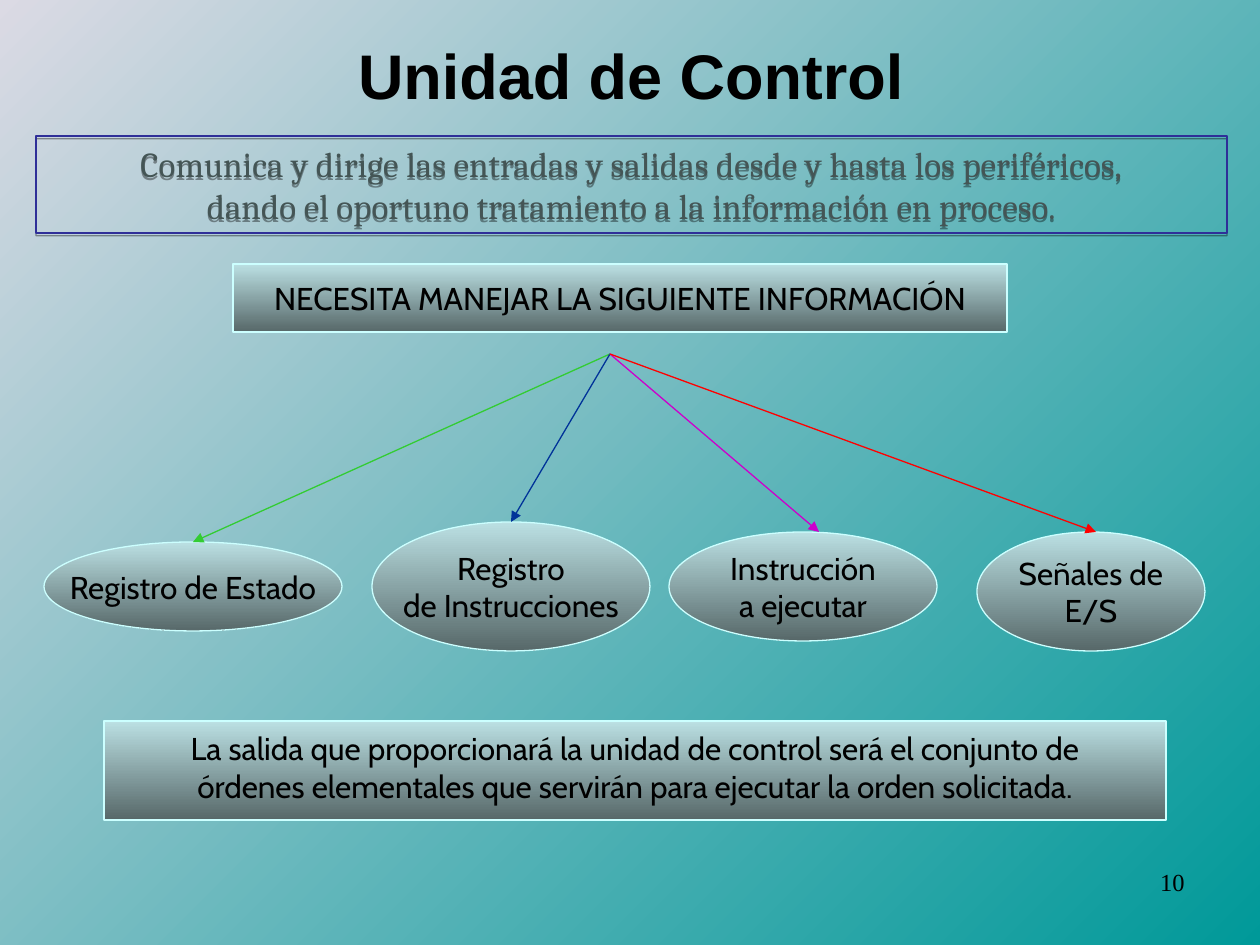
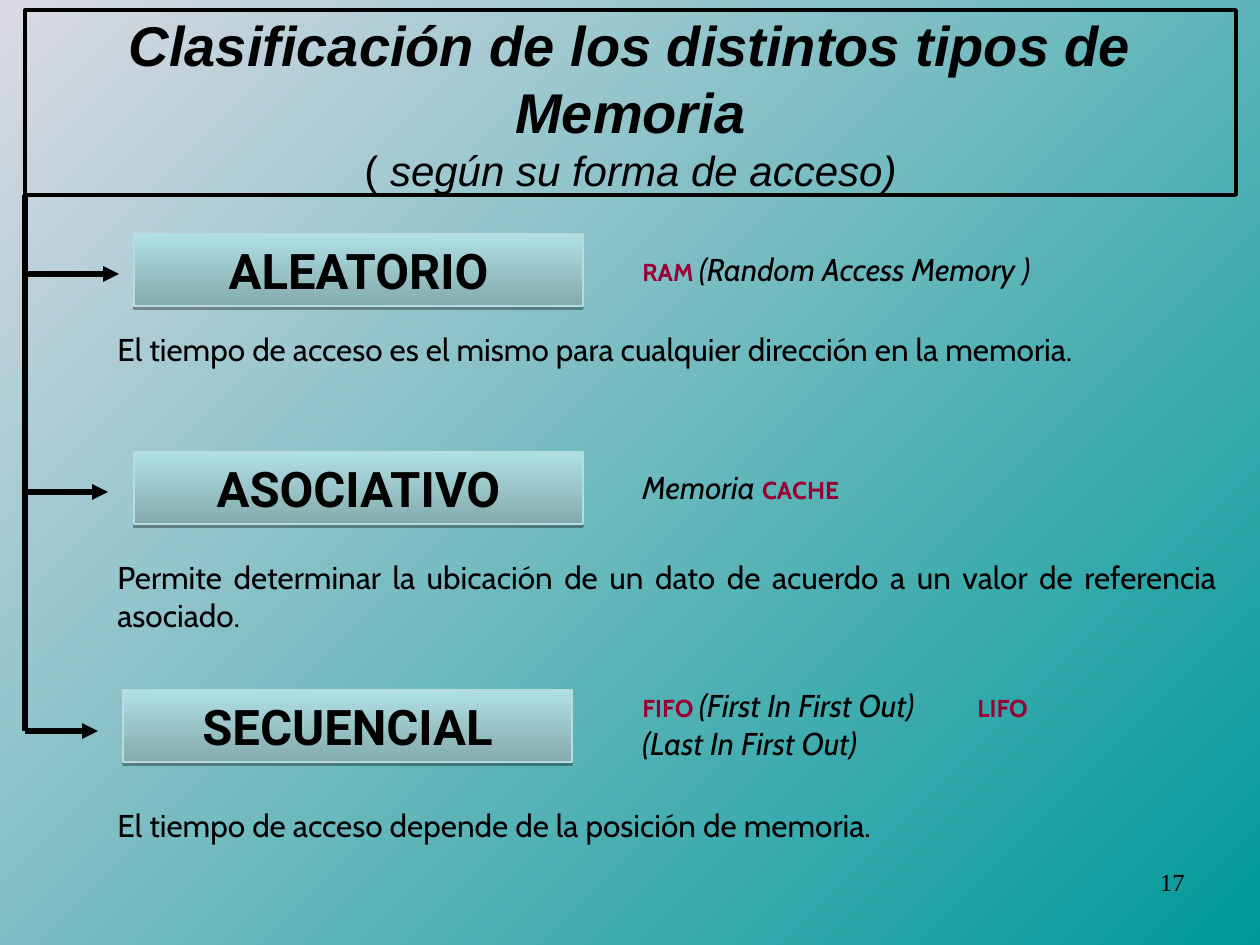
import lxml.etree
import pptx
import pptx.dml.color
import pptx.enum.shapes
import pptx.enum.text
import pptx.oxml.ns
import pptx.util

SCALE = 914400 / 126
COLORS = {
    "black": "000000", "mist": "DBDAE4", "teal": "009999",
    "pale": "BBE0E3", "slate": "576869", "edge": "CCFFFF",
    "key_top": "AFE0E4", "key_bottom": "85AAAD", "key_edge": "B6DCDF",
    "navy": "2F2F98", "gray": "445555", "wine": "990033",
    "green": "33CC33", "blue": "003399", "violet": "CC00CC", "red": "FF0000",
}
SHAPE = pptx.enum.shapes.MSO_SHAPE
ALIGN = pptx.enum.text.PP_ALIGN
ANCHOR = pptx.enum.text.MSO_ANCHOR


def px(n):
    """Turn pixels into EMU."""
    return pptx.util.Emu(round(n * SCALE))


def rgb(name):
    """Look up a named colour."""
    return pptx.dml.color.RGBColor.from_string(COLORS[name])


def child(parent, tag, **attrs):
    """Append a DrawingML element."""
    return lxml.etree.SubElement(parent, pptx.oxml.ns.qn(tag), attrs)


def style_run(r, font="Cabin", size=18, color="black", bold=False, italic=False):
    """Format one run."""
    r.font.name, r.font.size = font, pptx.util.Pt(size)
    r.font.bold, r.font.italic = bold, italic
    r.font.color.rgb = rgb(color)


def write(tf, paragraphs, align=ALIGN.LEFT, anchor=ANCHOR.TOP, wrap=True,
          spacing=None, before=0, tab=None, **font):
    """Fill a text frame with strings or lists of (text, overrides) runs."""
    tf.word_wrap, tf.vertical_anchor = wrap, anchor
    tf.auto_size = pptx.enum.text.MSO_AUTO_SIZE.NONE
    for i, runs in enumerate(paragraphs):
        p = tf.add_paragraph() if i else tf.paragraphs[0]
        p.alignment = align
        if spacing:
            p.line_spacing = spacing
        if i and before:
            p.space_before = pptx.util.Pt(before)
        if tab:
            tabs = child(p._p.get_or_add_pPr(), "a:tabLst")
            child(tabs, "a:tab", pos=str(px(tab)), algn="l")
        for text, extra in [(runs, {})] if isinstance(runs, str) else runs:
            r = p.add_run()
            r.text = text
            style_run(r, **{**font, **extra})


class Deck:
    """Hold the style and the current slide."""

    def __init__(self):
        """Start an empty 4:3 presentation."""
        self.prs = pptx.Presentation()
        self.prs.slide_width, self.prs.slide_height = px(1260), px(945)

    def gradient(self, fill, first, last, angle):
        """Apply a two-colour gradient."""
        fill.gradient()
        fill.gradient_angle = angle
        for stop, name in zip(fill.gradient_stops, (first, last)):
            stop.color.rgb = rgb(name)

    def slide(self, number):
        """Add a slide with the shared background and page number."""
        self.s = self.prs.slides.add_slide(self.prs.slide_layouts[5])
        self.gradient(self.s.background.fill, "mist", "teal", 315)
        self.text((903, 861, 294, 66), [number], align=ALIGN.RIGHT,
                  font="Times New Roman", size=14)

    def title(self, box, paragraphs, border=None, **fmt):
        """Place and format the title placeholder."""
        sp = self.s.shapes.title
        sp.left, sp.top, sp.width, sp.height = map(px, box)
        if border:
            sp.line.color.rgb, sp.line.width = rgb("black"), pptx.util.Pt(border)
        write(sp.text_frame, paragraphs, align=ALIGN.CENTER, anchor=ANCHOR.MIDDLE,
              font="Arial", **fmt)

    def text(self, box, paragraphs, **fmt):
        """Add a text box."""
        write(self.s.shapes.add_textbox(*map(px, box)).text_frame, paragraphs, **fmt)

    def shape(self, box, paragraphs, kind=SHAPE.RECTANGLE, fill=("pale", "slate"),
              line="edge", shadow=None, anchor=ANCHOR.MIDDLE, wrap=False, **fmt):
        """Add a filled shape with centred text; shadow is (opacity, distance)."""
        sp = self.s.shapes.add_shape(kind, *map(px, box))
        sp.shadow.inherit = False
        if fill:
            self.gradient(sp.fill, *fill, 270)
        else:
            sp.fill.background()
        sp.line.color.rgb, sp.line.width = rgb(line), pptx.util.Pt(0.75)
        if shadow:
            opacity, distance = shadow
            effects = sp._element.spPr.find(pptx.oxml.ns.qn("a:effectLst"))
            outer = child(effects, "a:outerShdw", blurRad="0", dir="5400000",
                          dist=str(pptx.util.Pt(distance)), algn="ctr", rotWithShape="0")
            child(child(outer, "a:srgbClr", val=COLORS["black"]),
                  "a:alpha", val=str(opacity * 1000))
        write(sp.text_frame, paragraphs, align=ALIGN.CENTER, anchor=anchor,
              wrap=wrap, **fmt)
        return sp

    def line(self, start, end, color="black", width=0.75, arrow=True):
        """Add a straight line or arrow."""
        c = self.s.shapes.add_connector(
            pptx.enum.shapes.MSO_CONNECTOR.STRAIGHT, *map(px, start + end))
        c.line.color.rgb, c.line.width = rgb(color), pptx.util.Pt(width)
        spPr = c._element.spPr
        if arrow:
            child(spPr.find(pptx.oxml.ns.qn("a:ln")), "a:tailEnd", type="triangle")
        child(spPr, "a:effectLst")
        return c


def control_unit(deck):
    """Build the control unit slide."""
    deck.slide("10")
    deck.title((64, 26, 1134, 96), ["Unidad de Control"], size=36, bold=True)
    ellipses = [
        ((44, 542, 298, 89), ["Registro de Estado"], 193, "green"),
        ((372, 522, 278, 129), ["Registro", "de Instrucciones"], 511, "blue"),
        ((669, 532, 268, 109), ["Instrucción", "a ejecutar"], 819, "violet"),
        ((977, 532, 228, 119), ["Señales de", "E/S"], 1096, "red"),
    ]
    for box, label, tip, color in ellipses:
        left, top, width, _ = box
        sp = deck.shape(box, label, kind=SHAPE.OVAL)
        c = deck.line((610, 354), (tip, top), color)
        if tip == left + width // 2:
            c.end_connect(sp, 0)
    deck.shape((104, 721, 1062, 99), [
        "La salida que proporcionará la unidad de control será el conjunto de",
        "órdenes elementales que servirán para ejecutar la orden solicitada.",
    ], spacing=0.8, before=4.5)
    deck.shape((233, 264, 774, 68), ["NECESITA MANEJAR LA SIGUIENTE INFORMACIÓN"])
    deck.shape((36, 136, 1191, 97), [
        "Comunica y dirige las entradas y salidas desde y hasta los periféricos,",
        "dando el oportuno tratamiento a la información en proceso.",
    ], fill=None, line="navy", shadow=(38, 1.6), font="Cambria", size=20, color="gray")


def memory_types(deck):
    """Build the memory access types slide."""
    deck.slide("17")
    deck.title((25, 10, 1211, 185), [
        [("Clasificación de los distintos tipos de Memoria", {"bold": True, "italic": True})],
        [("( ", {"size": 24}), ("según su forma de acceso)", {"size": 24, "italic": True})],
    ], border=2.25, size=32)
    key = {"size": 14, "color": "wine", "bold": True}
    note = {"italic": True}
    rows = [
        ("ALEATORIO", (134, 234), (274, 119), (244, 50),
         [("RAM ", key), ("(Random Access Memory )", note)], (324, 50),
         "El tiempo de acceso es el mismo para cualquier dirección en la memoria."),
        ("ASOCIATIVO", (134, 452), (492, 108), (462, 50),
         [("Memoria ", note), ("CACHE", key)], (552, 88),
         "Permite determinar la ubicación de un dato de acuerdo a un valor "
         "de referencia asociado."),
        ("SECUENCIAL", (123, 690), (731, 98), (680, 88),
         [("FIFO ", key), ("(First In First Out)\t", note), ("LIFO ", key),
          ("(Last In First Out)", note)], (800, 50),
         "El tiempo de acceso depende de la posición de memoria."),
    ]
    trunk = 25
    deck.line((trunk, 195), (trunk, rows[-1][2][0]), width=3, arrow=False)
    for name, corner, (y, tip), (side_top, side_h), example, (top, height), detail in rows:
        deck.line((trunk, y), (tip, y), width=3)
        deck.text((105, top, 1124, height), [detail], align=ALIGN.JUSTIFY)
        deck.text((630, side_top, 451, side_h), [example], tab=335)
        deck.shape(corner + (449, 72), [name], fill=("key_top", "key_bottom"),
                   line="key_edge", shadow=(35, 1.8), anchor=ANCHOR.TOP, wrap=True,
                   font="Roboto", size=28, bold=True)


def main():
    """Build and save the deck."""
    deck = Deck()
    control_unit(deck)
    memory_types(deck)
    deck.prs.save("out.pptx")


if __name__ == "__main__":
    main()
